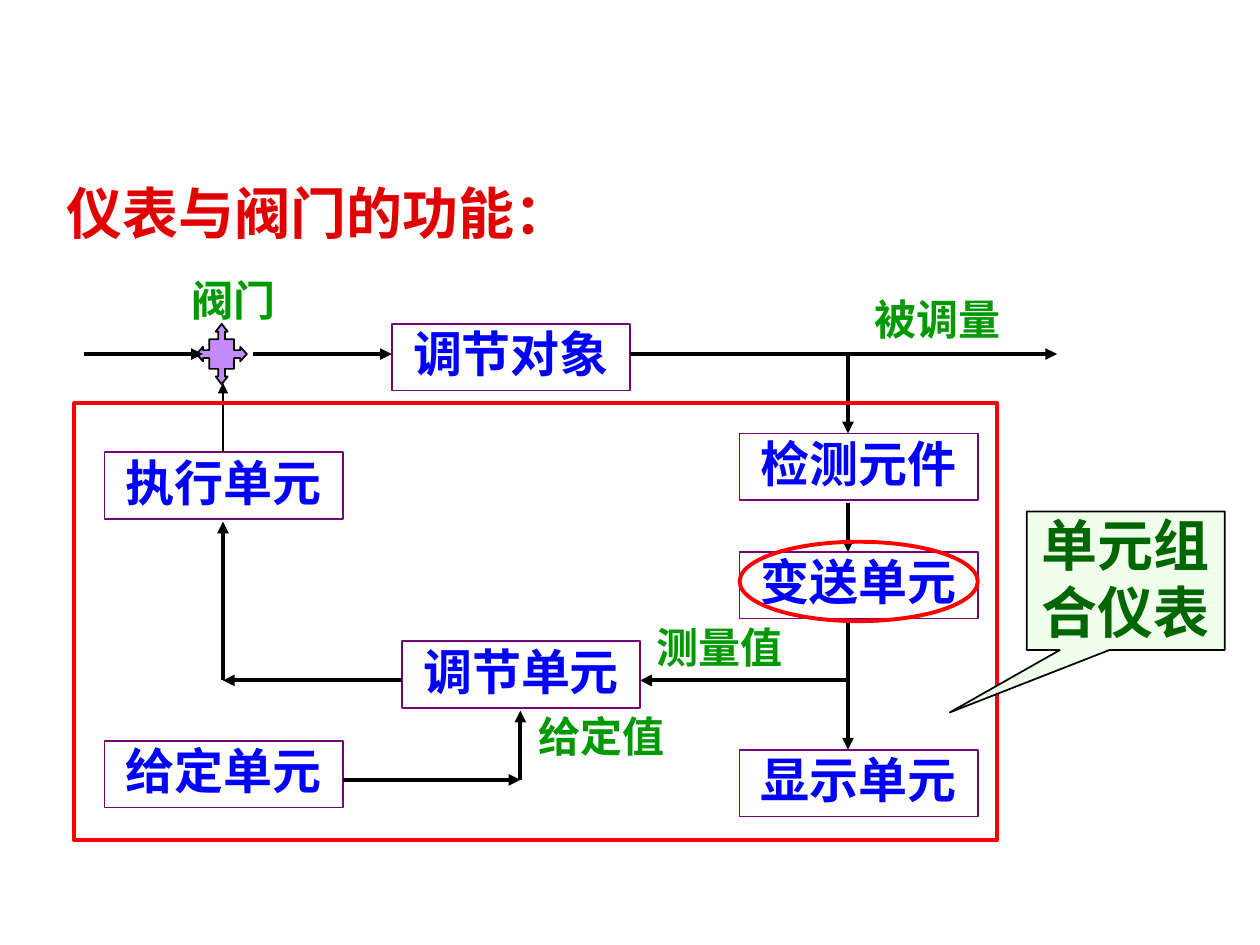
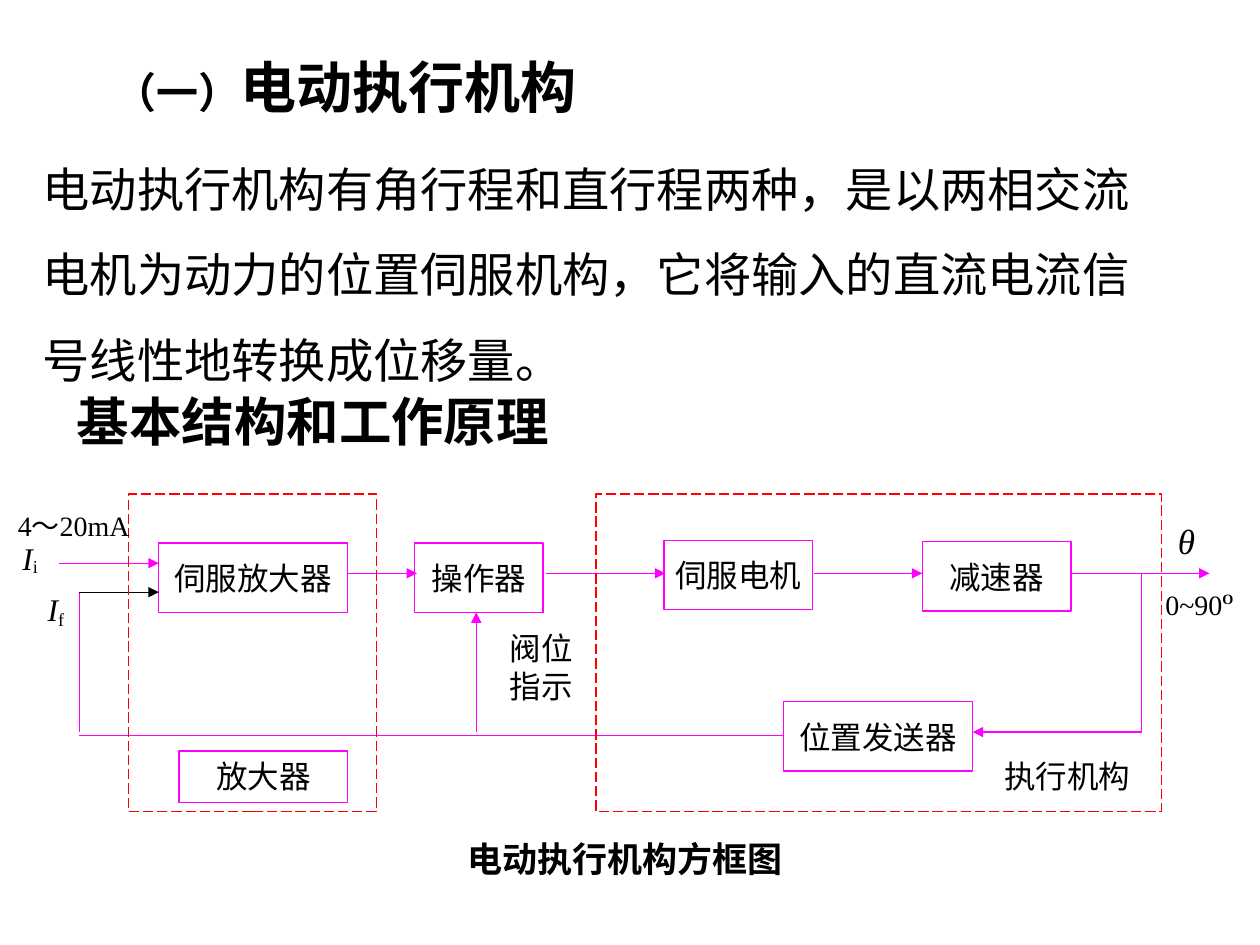
from lxml import etree
from pptx import Presentation
from pptx import util as u
from pptx.dml.color import RGBColor
from pptx.enum import dml, shapes, text
from pptx.oxml import ns

COLORS = {
    "black": "000000", "purple": "740377", "blue": "0000FF", "green": "009900",
    "title": "E10000", "red": "FF0000", "lilac": "C58BF9", "mint": "EFFFEB",
    "forest": "006600", "magenta": "FF00FF",
}
CJK = "Noto Sans CJK SC"
SERIF = "Times New Roman"
MARGINS = (0.1, 0.05, 0.1, 0.05)
FLUSH_TOP = (0.1, 0, 0.1, 0.05)
FLUSH_SIDES = (0, 0.05, 0, 0.05)
UNIT_SIZE = (1.89, 0.53)
LABEL_SIZE = (1.42, 0.45)


def rgb(name):
    return RGBColor.from_string(COLORS[name])


class Painter:
    def __init__(self, deck):
        self.deck = deck
        self.slide = None

    def new_slide(self):
        self.slide = self.deck.slides.add_slide(self.deck.slide_layouts[6])

    def outline(self, line, color, weight, dash=None):
        line.color.rgb = rgb(color)
        line.width = u.Pt(weight)
        if dash:
            line.dash_style = dash

    def paint(self, shape, color, weight, fill=None, dash=None):
        shape.shadow.inherit = False
        if fill:
            shape.fill.solid()
            shape.fill.fore_color.rgb = rgb(fill)
        else:
            shape.fill.background()
        self.outline(shape.line, color, weight, dash)

    def letter(self, shape, content, size, font="Arial", color="black", bold=False,
               align="LEFT", margins=MARGINS, spacing=None, wrap=True, grow=True,
               middle=False):
        frame = shape.text_frame
        frame.word_wrap = wrap
        frame.auto_size = (text.MSO_AUTO_SIZE.SHAPE_TO_FIT_TEXT if grow
                           else text.MSO_AUTO_SIZE.NONE)
        frame.vertical_anchor = text.MSO_ANCHOR.MIDDLE if middle else text.MSO_ANCHOR.TOP
        (frame.margin_left, frame.margin_top,
         frame.margin_right, frame.margin_bottom) = map(u.Inches, margins)
        if isinstance(content, str):
            frame.text = content
            styles = {}
        else:
            for words, _ in content:
                frame.paragraphs[0].add_run().text = words
            styles = dict(enumerate(style for _, style in content))
        for paragraph in frame.paragraphs:
            paragraph.alignment = getattr(text.PP_ALIGN, align)
            if spacing:
                paragraph.line_spacing = spacing
            for index, run in enumerate(paragraph.runs):
                style = styles.get(index, {})
                run.font.size = u.Pt(style.get("size", size))
                run.font.name = style.get("font", font)
                run.font.bold = style.get("bold", bold)
                run.font.italic = style.get("italic", False)
                run.font.color.rgb = rgb(color)
                properties = run._r.get_or_add_rPr()
                etree.SubElement(properties, ns.qn("a:ea")).set("typeface", CJK)
                if "baseline" in style:
                    properties.set("baseline", str(style["baseline"] * 1000))

    def text(self, at, content, size, **style):
        box = self.slide.shapes.add_textbox(*map(u.Inches, at))
        self.letter(box, content, size, **style)

    def shape(self, at, color, weight, kind="RECTANGLE", fill=None, dash=None):
        shape = self.slide.shapes.add_shape(
            getattr(shapes.MSO_SHAPE, kind), *map(u.Inches, at))
        self.paint(shape, color, weight, fill, dash)
        return shape

    def unit(self, left, top, name):
        unit = self.shape((left, top, *UNIT_SIZE), "purple", 1)
        self.letter(unit, name, 28, font="Lato", color="blue", bold=True,
                    align="CENTER", margins=FLUSH_TOP)

    def label(self, left, top, name):
        self.text((left, top, *LABEL_SIZE), name, 24, font="Lato", color="green",
                  bold=True, align="CENTER", margins=FLUSH_TOP)

    def block(self, left, top, width, name):
        block = self.shape((left, top, width, 0.55), "magenta", 0.75)
        self.letter(block, name, 18, align="CENTER", margins=FLUSH_SIDES,
                    wrap=False, grow=False, middle=True)

    def line(self, start, end, color="black", weight=2.25, arrow=True):
        line = self.slide.shapes.add_connector(
            shapes.MSO_CONNECTOR.STRAIGHT, *map(u.Inches, (*start, *end)))
        self.outline(line.line, color, weight)
        if arrow:
            outline = line.line._get_or_add_ln()
            etree.SubElement(outline, ns.qn("a:tailEnd")).set("type", "triangle")
        etree.SubElement(line._element.spPr, ns.qn("a:effectLst"))

    def valve(self, center_x, center_y, radius_x, radius_y):
        body, arm, head, neck = 0.49, 0.13, 0.24, 0.74
        side = [(-body, -body), (-arm, -body), (-arm, -neck), (-head, -neck),
                (0, -1), (head, -neck), (arm, -neck), (arm, -body)]
        points = []
        for _ in range(4):
            points += side
            side = [(-y, x) for x, y in side]
        corners = [(u.Inches(center_x + x * radius_x), u.Inches(center_y + y * radius_y))
                   for x, y in points]
        builder = self.slide.shapes.build_freeform(*corners[0])
        builder.add_line_segments(corners[1:], close=True)
        self.paint(builder.convert_to_shape(), "black", 1, "lilac")


def build_control_loop(p):
    p.new_slide()
    flow_y, measure_x, actuator_x, setpoint_x = 2.81, 6.73, 1.77, 4.13
    control_y, setpoint_y = 5.4, 6.19
    for left, top, name in [
        (3.11, 2.57, "调节对象"), (5.87, 3.44, "检测元件"), (5.87, 4.38, "变送单元"),
        (5.87, 5.95, "显示单元"), (0.83, 5.88, "给定单元"), (3.19, 5.09, "调节单元"),
        (0.83, 3.59, "执行单元"),
    ]:
        p.unit(left, top, name)
    for start, end in [
        ((5, flow_y), (8.39, flow_y)),
        ((measure_x, flow_y), (measure_x, 3.44)),
        ((measure_x, 3.99), (measure_x, 4.38)),
        ((measure_x, 4.93), (measure_x, 5.95)),
        ((measure_x, control_y), (5.08, control_y)),
        ((2.72, setpoint_y), (setpoint_x, setpoint_y)),
        ((setpoint_x, setpoint_y), (setpoint_x, 5.64)),
        ((3.19, control_y), (actuator_x, control_y)),
        ((actuator_x, control_y), (actuator_x, 4.14)),
    ]:
        p.line(start, end)
    p.valve(1.76, flow_y, 0.2, 0.24)
    p.line((actuator_x, 3.59), (actuator_x, 3.04), weight=1)
    p.line((2.01, flow_y), (3.11, flow_y))
    p.line((0.67, flow_y), (1.61, flow_y))
    for left, top, name in [
        (6.73, 2.33, "被调量"), (5, 4.93, "测量值"), (4.06, 5.64, "给定值"),
        (1.14, 2.18, "阀门"),
    ]:
        p.label(left, top, name)
    p.text((0.43, 1.26, 5.43, 0.74), "仪表与阀门的功能：", 32, font=CJK,
           color="title", bold=True, margins=FLUSH_TOP, spacing=1.3)
    p.shape((0.59, 3.2, 7.32, 3.47), "red", 2.25)
    callout = p.shape((8.15, 4.06, 1.57, 1.1), "black", 1,
                      "RECTANGULAR_CALLOUT", "mint")
    callout.adjustments[0], callout.adjustments[1] = -0.89, 0.95
    p.letter(callout, "单元组合仪表", 32, font=CJK, color="forest", bold=True,
             align="CENTER", margins=FLUSH_TOP, grow=False, middle=True)
    p.shape((5.87, 4.3, 1.89, 0.63), "red", 2.25, "OVAL")


def build_actuator(p):
    p.new_slide()
    signal_y, return_y, feedback_y = 4.55, 5.81, 4.7
    feedback_x, output_x, indicator_x = 0.63, 9.06, 3.78
    p.text((0.81, 0.37, 3.88, 0.63),
           [("（一）", {"size": 24, "font": "Montserrat"}), ("电动执行机构", {})],
           32, bold=True, wrap=False)
    p.text((0.24, 1, 9.14, 2.15),
           "电动执行机构有角行程和直行程两种，是以两相交流电机为动力的位置伺服机构，"
           "它将输入的直流电流信号线性地转换成位移量。", 27, spacing=1.5)
    p.text((0.51, 3.04, 5.74, 0.6), "基本结构和工作原理", 30, bold=True)
    for left, top, width, name in [
        (1.26, 4.31, 1.5, "伺服放大器"), (6.22, 5.57, 1.5, "位置发送器"),
        (5.27, 4.29, 1.18, "伺服电机"), (3.29, 4.31, 1.02, "操作器"),
        (7.32, 4.3, 1.18, "减速器"),
    ]:
        p.block(left, top, width, name)
    for start, end, color, arrow in [
        ((2.76, signal_y), (3.31, signal_y), "magenta", True),
        ((4.33, signal_y), (5.28, signal_y), "magenta", True),
        ((6.46, signal_y), (7.32, signal_y), "magenta", True),
        ((8.5, signal_y), (9.6, signal_y), "magenta", True),
        ((output_x, signal_y), (output_x, return_y), "magenta", False),
        ((output_x, return_y), (7.72, return_y), "magenta", True),
        ((6.22, 5.84), (feedback_x, 5.84), "magenta", False),
        ((indicator_x, return_y), (indicator_x, 4.86), "magenta", True),
        ((feedback_x, return_y), (feedback_x, feedback_y), "magenta", False),
        ((feedback_x, feedback_y), (1.26, feedback_y), "black", True),
        ((0.47, 4.47), (1.26, 4.47), "magenta", True),
    ]:
        p.line(start, end, color, 0.75, arrow)
    p.text((3.94, 4.94, 0.71, 0.71), "阀位\n指示", 18, align="CENTER",
           margins=FLUSH_SIDES, wrap=False, grow=False, middle=True)
    for left, width in [(1.02, 1.97), (4.73, 4.49)]:
        p.shape((left, 3.92, width, 2.52), "red", 0.75, dash=dml.MSO_LINE.LONG_DASH)
    amplifier = p.shape((1.42, 5.96, 1.34, 0.41), "magenta", 0.75)
    p.letter(amplifier, "放大器", 18, align="CENTER")
    p.text((7.8, 5.96, 1.34, 0.4), "执行机构", 18, align="CENTER")
    p.text((0, 3.99, 1.17, 0.37), "4～20mA", 16, font=SERIF, align="CENTER")
    for left, top, subscript, baseline in [(0.08, 4.23, "i", -10), (0.28, 4.63, "f", -16)]:
        p.text((left, top, 0.39, 0.4),
               [("I", {"italic": True}), (subscript, {"baseline": baseline})],
               18, font=SERIF)
    p.text((9.25, 4.07, 0.39, 0.43), [("θ", {"italic": True})], 20, font=SERIF)
    p.text((3.11, 6.6, 3.7, 0.43), "电动执行机构方框图", 20, bold=True, align="CENTER")
    p.text((9.17, 4.67, 0.7, 0.25),
           [("0~90", {}), ("O", {"size": 14, "bold": True, "baseline": 46})],
           16, font=SERIF, align="CENTER", margins=(0, 0, 0, 0),
           wrap=False, grow=False, middle=True)


def main():
    deck = Presentation()
    deck.slide_width, deck.slide_height = u.Inches(10), u.Inches(7.5)
    painter = Painter(deck)
    build_control_loop(painter)
    build_actuator(painter)
    deck.save("out.pptx")


if __name__ == "__main__":
    main()
